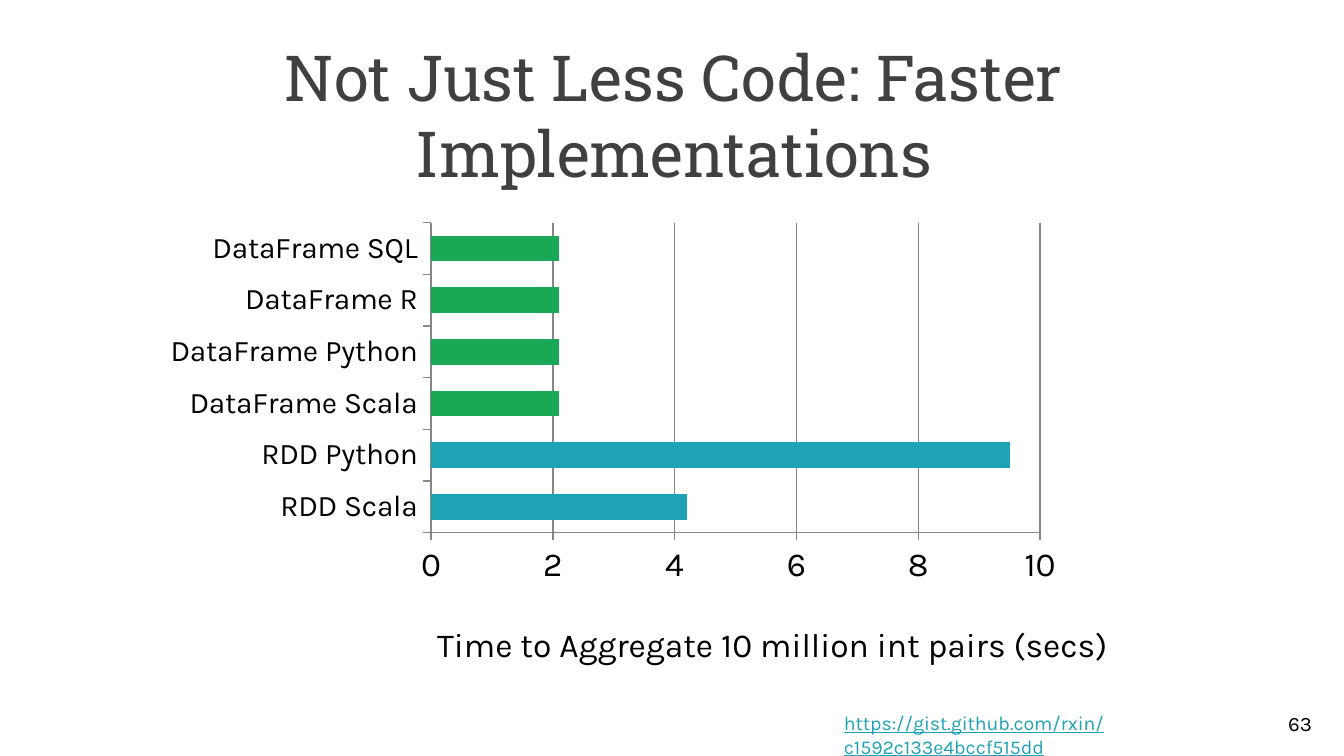
from dataclasses import dataclass

from pptx import Presentation
from pptx.chart.data import CategoryChartData
from pptx.dml.color import RGBColor
from pptx.enum.chart import XL_CHART_TYPE, XL_TICK_MARK
from pptx.enum.text import MSO_ANCHOR, PP_ALIGN
from pptx.oxml import parse_xml
from pptx.oxml.ns import nsdecls, qn
from pptx.util import Inches, Pt

WIDTH = Inches(10)
HEIGHT = WIDTH * 9 // 16
COLORS = {
    "title": "404040",
    "text": "000000",
    "link": "1EA2B4",
    "rdd": "1EA3B5",
    "dataframe": "1AA756",
    "grid": "868686",
}
HEADING_FONT, BODY_FONT = "Roboto Slab", "Karla"
TIMES = {
    "RDD Scala": 4.2,
    "RDD Python": 9.5,
    "DataFrame Scala": 2.1,
    "DataFrame Python": 2.1,
    "DataFrame R": 2.1,
    "DataFrame SQL": 2.1,
}


@dataclass(frozen=True)
class Area:
    """A rectangle in shares of the slide's size."""
    left: float
    top: float
    width: float
    height: float

    def lengths(self) -> tuple[int, int, int, int]:
        return (int(self.left * WIDTH), int(self.top * HEIGHT),
                int(self.width * WIDTH), int(self.height * HEIGHT))


@dataclass(frozen=True)
class Label:
    text: str
    area: Area
    size: float
    color: str
    font: str = BODY_FONT
    align: PP_ALIGN = PP_ALIGN.LEFT
    anchor: MSO_ANCHOR = MSO_ANCHOR.TOP
    underline: bool = False


LABELS = [
    Label("Not Just Less Code: Faster Implementations", Area(0.011, 0.041, 0.981, 0.167),
          34, "title", HEADING_FONT, PP_ALIGN.CENTER),
    Label("63", Area(0.925, 0.93, 0.061, 0.053), 11, "text",
          align=PP_ALIGN.RIGHT, anchor=MSO_ANCHOR.MIDDLE),
    Label("https://gist.github.com/rxin/c1592c133e4bccf515dd", Area(0.618, 0.932, 0.358, 0.08),
          10.5, "link", underline=True),
]
CHART_AREA = Area(0.062, 0.252, 0.784, 0.656)


def rgb(name: str) -> RGBColor:
    return RGBColor.from_string(COLORS[name])


def style_font(font, size: float, color: str, name: str) -> None:
    font.size, font.name, font.bold = Pt(size), name, False
    font.color.rgb = rgb(color)


def draw_label(slide, label: Label) -> None:
    text_frame = slide.shapes.add_textbox(*label.area.lengths()).text_frame
    text_frame.word_wrap = True
    text_frame.vertical_anchor = label.anchor
    text_frame.text = label.text
    paragraph = text_frame.paragraphs[0]
    paragraph.alignment = label.align
    font = paragraph.runs[0].font
    style_font(font, label.size, label.color, label.font)
    font.underline = label.underline


def set_layout(element, index: int, inner: bool = False, **shares: float) -> None:
    """Place a chart part by shares of the chart, as its child number index."""
    for layout in element.findall(qn("c:layout")):
        element.remove(layout)
    target = '<c:layoutTarget val="inner"/>' if inner else ""
    modes = '<c:xMode val="edge"/><c:yMode val="edge"/>'
    values = "".join(f'<c:{key} val="{value}"/>' for key, value in shares.items())
    element.insert(index, parse_xml(
        f'<c:layout {nsdecls("c")}><c:manualLayout>{target}{modes}{values}'
        "</c:manualLayout></c:layout>"))


def draw_chart(slide) -> None:
    data = CategoryChartData()
    data.categories = list(TIMES)
    data.add_series("Series 1", list(TIMES.values()))
    chart = slide.shapes.add_chart(
        XL_CHART_TYPE.BAR_STACKED, *CHART_AREA.lengths(), data).chart
    chart.has_legend = chart.has_title = False
    style_font(chart.font, 18, "text", HEADING_FONT)

    plot = chart.plots[0]
    plot.gap_width = plot.overlap = 100
    plot.vary_by_categories = False
    series = plot.series[0]
    series.format.fill.solid()
    series.format.fill.fore_color.rgb = rgb("rdd")
    for index, category in enumerate(TIMES):
        if category.startswith("DataFrame"):
            fill = series.points[index].format.fill
            fill.solid()
            fill.fore_color.rgb = rgb("dataframe")

    value_axis = chart.value_axis
    for axis, size in ((chart.category_axis, 16), (value_axis, 18)):
        axis.major_tick_mark = XL_TICK_MARK.OUTSIDE
        axis.minor_tick_mark = XL_TICK_MARK.NONE
        axis.format.line.color.rgb = rgb("grid")
        style_font(axis.tick_labels.font, size, "text", BODY_FONT)
    value_axis.minimum_scale, value_axis.maximum_scale, value_axis.major_unit = 0, 10, 2
    value_axis.has_major_gridlines = True
    value_axis.major_gridlines.format.line.color.rgb = rgb("grid")

    text_frame = value_axis.axis_title.text_frame
    text_frame.text = "Time to Aggregate 10 million int pairs (secs)"
    style_font(text_frame.paragraphs[0].runs[0].font, 18, "text", BODY_FONT)
    set_layout(value_axis.axis_title.element, 1, x=0.33, y=0.86)
    plot_area = chart.element.find(".//" + qn("c:plotArea"))
    set_layout(plot_area, 0, inner=True, x=0.33, y=0.065, w=0.578, h=0.625)


def main() -> None:
    presentation = Presentation()
    presentation.slide_width, presentation.slide_height = WIDTH, HEIGHT
    slide = presentation.slides.add_slide(presentation.slide_layouts[6])
    draw_chart(slide)
    for label in LABELS:
        draw_label(slide, label)
    presentation.save("out.pptx")


if __name__ == "__main__":
    main()
